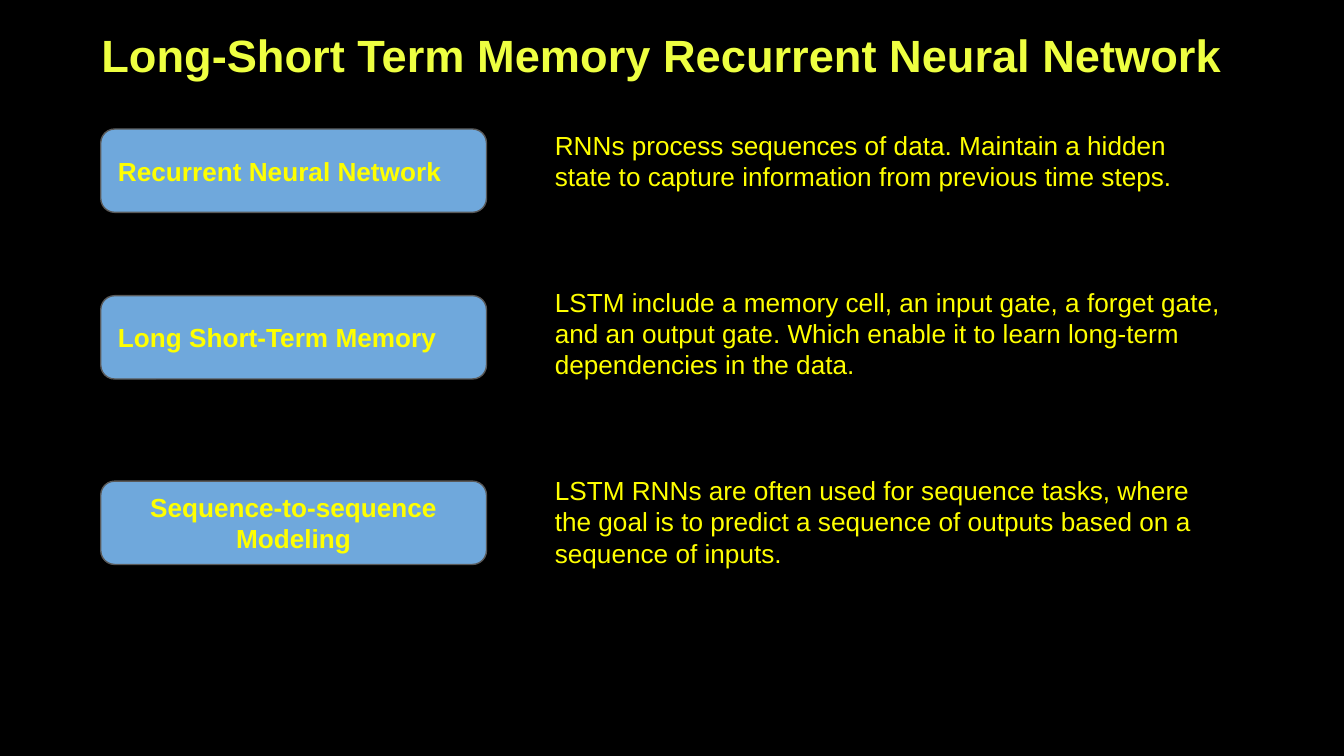
from pptx import Presentation
from pptx.dml.color import RGBColor
from pptx.enum.shapes import MSO_SHAPE
from pptx.enum.text import MSO_ANCHOR, PP_ALIGN
from pptx.util import Inches, Pt

COLORS = {
    "back": "000000",
    "title": "EEFF41",
    "text": "FFFF00",
    "box": "6FA8DC",
    "edge": "595959",
}

TITLE = "Long-Short Term Memory Recurrent Neural Network "

# Label, top edge, alignment
LABELS = [
    ("Recurrent Neural Network", 0.96, PP_ALIGN.LEFT),
    ("Long Short-Term Memory", 2.2, PP_ALIGN.LEFT),
    ("Sequence-to-sequence Modeling", 3.58, PP_ALIGN.CENTER),
]

NOTES = [
    "RNNs process sequences of data. Maintain a hidden state to capture "
    "information from previous time steps.",
    "LSTM include a memory cell, an input gate, a forget gate, and an output "
    "gate. Which enable it to learn long-term dependencies in the data.",
    "LSTM RNNs are often used for sequence tasks, where the goal is to predict "
    "a sequence of outputs based on a sequence of inputs.",
]


def color(name):
    return RGBColor.from_string(COLORS[name])


def write(shape, lines, size=14, tint="text", bold=False,
          align=PP_ALIGN.LEFT, anchor=MSO_ANCHOR.TOP, gap=0):
    """Fill a shape with paragraphs, gap points apart."""
    frame = shape.text_frame
    frame.word_wrap = True
    frame.vertical_anchor = anchor
    frame.margin_left = frame.margin_right = Inches(0.1)
    frame.margin_top = frame.margin_bottom = Inches(0.1)
    frame.text = "\n".join(lines)
    for index, par in enumerate(frame.paragraphs):
        par.alignment = align
        par.space_before = Pt(gap if index else 0)
        par.font.name = "Arial"
        par.font.size = Pt(size)
        par.font.bold = bold
        par.font.color.rgb = color(tint)


def add_text(slide, left, top, width, height, lines, **style):
    box = slide.shapes.add_textbox(
        Inches(left), Inches(top), Inches(width), Inches(height))
    write(box, lines, **style)


def add_label(slide, text, top, align):
    box = slide.shapes.add_shape(
        MSO_SHAPE.FLOWCHART_ALTERNATE_PROCESS,
        Inches(0.75), Inches(top), Inches(2.87), Inches(0.62))
    box.shadow.inherit = False
    box.fill.solid()
    box.fill.fore_color.rgb = color("box")
    box.line.color.rgb = color("edge")
    box.line.width = Pt(0.75)
    write(box, [text], bold=True, align=align, anchor=MSO_ANCHOR.MIDDLE)


def main():
    # Widescreen slide, 16 to 9
    deck = Presentation()
    deck.slide_width = Inches(10)
    deck.slide_height = Inches(10) * 9 // 16
    slide = deck.slides.add_slide(deck.slide_layouts[6])
    slide.background.fill.solid()
    slide.background.fill.fore_color.rgb = color("back")

    # Title
    add_text(slide, 0.06, 0.1, 9.82, 1.01, [TITLE], size=24.2,
             tint="title", bold=True, align=PP_ALIGN.CENTER)

    # Descriptions on the right
    add_text(slide, 4.03, 0.86, 5.17, 3.5, NOTES, gap=50.5)

    # Labels on the left
    for text, top, align in LABELS:
        add_label(slide, text, top, align)

    deck.save("out.pptx")


if __name__ == "__main__":
    main()
